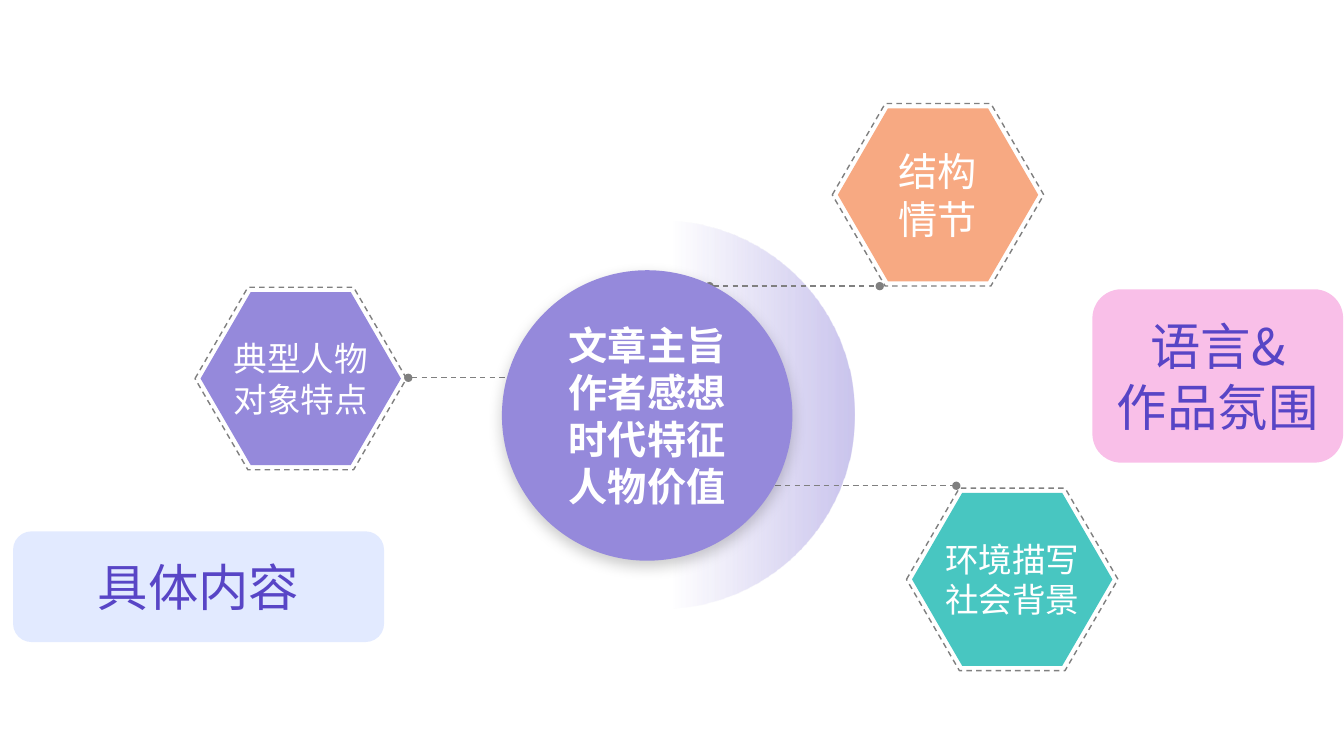
"""Build a one-slide diagram linking a central theme to three aspects of a text."""
from lxml import etree
from pptx import Presentation
from pptx.dml.color import RGBColor
from pptx.enum import dml, shapes, text
from pptx.oxml import ns, parse_xml
from pptx.util import Cm, Pt

FONT = "Noto Sans CJK SC"
PURPLE, WHITE, GREY, INDIGO = "9589DB", "FFFFFF", "808080", "5845C6"
NAMESPACE = ns.nsdecls("a")

THEME = ["文章主旨", "作者感想", "时代特征", "人物价值"]
THEME_BOX = (12.65, 6.81, 7.32, 7.32)
HALO_BOX = (11.76, 5.56, 9.78, 9.78)
HALO_STOPS = [(0, 0), (53, 0), (100, 50)]
OUTER_SIZE, INNER_SIZE = (5.33, 4.6), (5.05, 4.36)

ASPECTS = [
    {"lines": ["典型人物", "对象特点"], "size": 24, "color": PURPLE,
     "center": (7.58, 9.54), "link": (10.29, 13.94, 9.52)},
    {"lines": ["结构", "情节"], "size": 28, "color": "F7A982",
     "center": (23.64, 4.91), "link": (17.88, 22.17, 7.21)},
    {"lines": ["环境描写", "社会背景"], "size": 24, "color": "48C6C1",
     "center": (25.51, 14.6), "link": (19.2, 24.1, 12.24)},
]
LABELS = [
    (["具体内容"], "E2EAFF", (0.33, 13.39, 9.35, 2.79)),
    (["语言&", "作品氛围"], "F9BFE8", (27.53, 7.29, 6.32, 4.37)),
]


def rgb(value):
    return RGBColor.from_string(value)


def add_block(slide, kind, box, fill=None):
    shape = slide.shapes.add_shape(kind, *map(Cm, box))
    shape.shadow.inherit = False
    shape.line.fill.background()
    if fill:
        shape.fill.solid()
        shape.fill.fore_color.rgb = rgb(fill)
    else:
        shape.fill.background()
    return shape


def write_lines(shape, lines, size, color, bold=False, wrap=True):
    frame = shape.text_frame
    frame.word_wrap = wrap
    frame.vertical_anchor = text.MSO_ANCHOR.MIDDLE
    for index, line in enumerate(lines):
        paragraph = frame.add_paragraph() if index else frame.paragraphs[0]
        paragraph.text = line
        paragraph.alignment = text.PP_ALIGN.CENTER
        font = paragraph.font
        font.name, font.size, font.bold = FONT, Pt(size), bold
        font.color.rgb = rgb(color)
        latin = next(paragraph._p.iter(ns.qn("a:latin")))
        latin.addnext(parse_xml(f'<a:ea {NAMESPACE} typeface="{FONT}"/>'))


def dash_line(line):
    line.color.rgb = rgb(GREY)
    line.width = Pt(1)
    line.dash_style = dml.MSO_LINE.DASH


def add_link(slide, start, end, height):
    connector = slide.shapes.add_connector(
        shapes.MSO_CONNECTOR.STRAIGHT, Cm(start), Cm(height), Cm(end), Cm(height))
    dash_line(connector.line)
    properties = connector._element.spPr
    outline = properties.find(ns.qn("a:ln"))
    for tag in ("a:headEnd", "a:tailEnd"):
        etree.SubElement(outline, ns.qn(tag), type="oval")
    etree.SubElement(properties, ns.qn("a:effectLst"))


def add_hexagon(slide, center, size, fill=None):
    corner = [middle - length / 2 for middle, length in zip(center, size)]
    hexagon = add_block(slide, shapes.MSO_SHAPE.HEXAGON, (*corner, *size), fill)
    hexagon.adjustments[0] = 0.29
    return hexagon


def add_aspect(slide, aspect):
    add_link(slide, *aspect["link"])
    dash_line(add_hexagon(slide, aspect["center"], OUTER_SIZE).line)
    hexagon = add_hexagon(slide, aspect["center"], INNER_SIZE, aspect["color"])
    write_lines(hexagon, aspect["lines"], aspect["size"], WHITE, wrap=False)


def add_halo(slide):
    halo = add_block(slide, shapes.MSO_SHAPE.OVAL, HALO_BOX)
    stops = "".join(
        f'<a:gs pos="{position * 1000}"><a:srgbClr val="{PURPLE}">'
        f'<a:alpha val="{alpha * 1000}"/></a:srgbClr></a:gs>'
        for position, alpha in HALO_STOPS)
    properties = halo._element.spPr
    properties.replace(properties.find(ns.qn("a:noFill")), parse_xml(
        f'<a:gradFill {NAMESPACE} rotWithShape="1"><a:gsLst>{stops}</a:gsLst>'
        '<a:lin ang="0" scaled="0"/></a:gradFill>'))


def add_theme(slide):
    circle = add_block(slide, shapes.MSO_SHAPE.OVAL, THEME_BOX, PURPLE)
    circle._element.spPr.find(ns.qn("a:effectLst")).append(parse_xml(
        f'<a:outerShdw {NAMESPACE} blurRad="{Pt(10)}" dist="{Pt(4)}" dir="5400000">'
        '<a:srgbClr val="000000"><a:alpha val="20000"/></a:srgbClr></a:outerShdw>'))
    write_lines(circle, THEME, 28, WHITE, bold=True)


def main():
    presentation = Presentation()
    presentation.slide_width, presentation.slide_height = Cm(33.87), Cm(19.05)
    slide = presentation.slides.add_slide(presentation.slide_layouts[6])
    add_halo(slide)
    for aspect in ASPECTS:
        add_aspect(slide, aspect)
    add_theme(slide)
    for lines, fill, box in LABELS:
        label = add_block(slide, shapes.MSO_SHAPE.ROUNDED_RECTANGLE, box, fill)
        write_lines(label, lines, 36, INDIGO)
    presentation.save("out.pptx")


if __name__ == "__main__":
    main()
